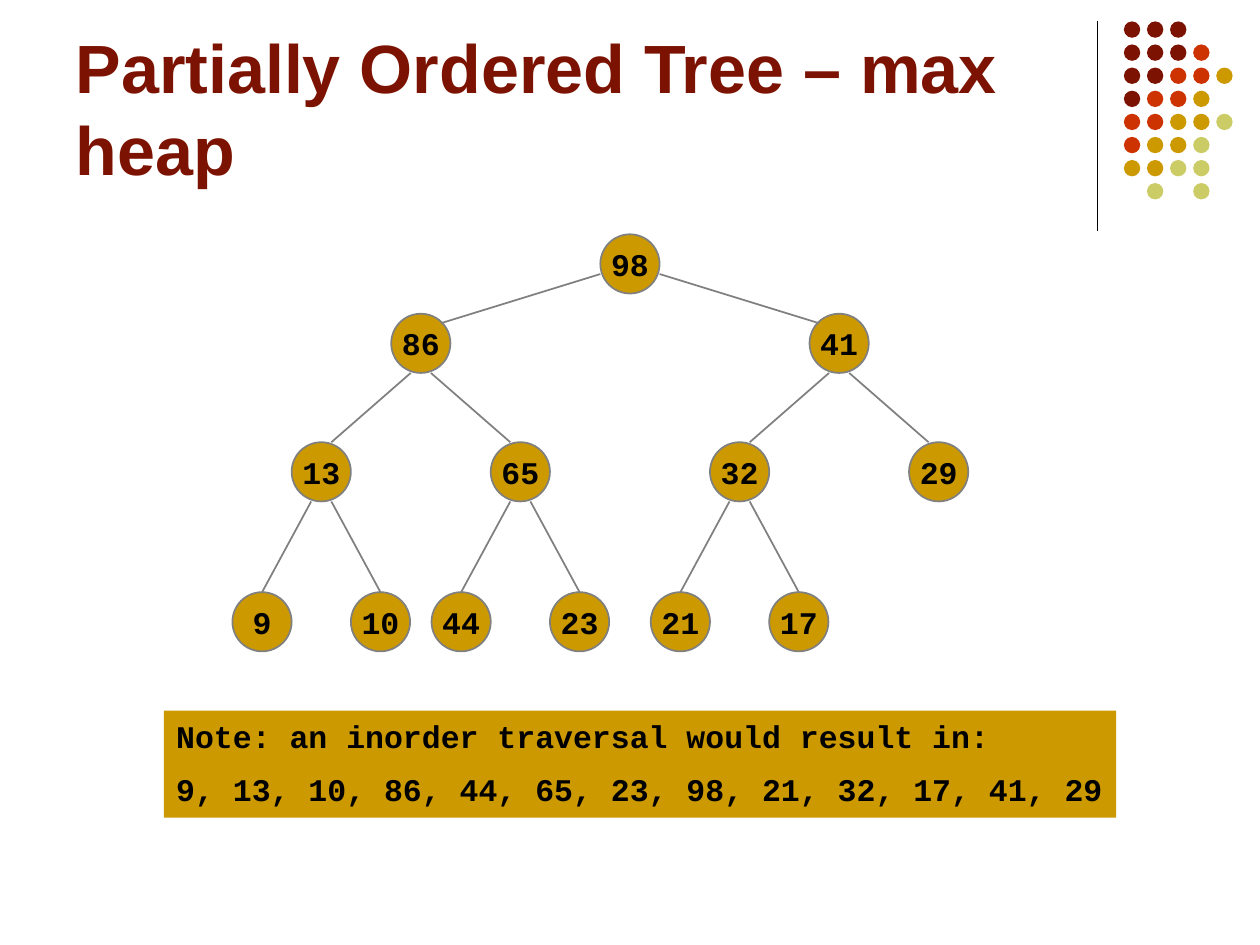
"""Build a slide showing a max heap as a partially ordered tree."""
from lxml.etree import SubElement
from pptx import Presentation
from pptx.dml.color import RGBColor
from pptx.enum.shapes import MSO_CONNECTOR as Connector, MSO_SHAPE as Shape
from pptx.enum.text import MSO_ANCHOR as Anchor, MSO_AUTO_SIZE as AutoSize, PP_ALIGN as Align
from pptx.oxml.ns import qn
from pptx.util import Inches, Pt

THEME = {
    "maroon": "7C1302", "red": "CC3300", "gold": "CC9900", "olive": "CCCC66",
    "edge": "808080", "ink": "000000",
    "title_font": "Arial", "code_font": "Courier New",
    "title_size": 39, "code_size": 18,
}
TITLE = "Partially Ordered Tree – max heap"
HEAP = [98, 86, 41, 13, 65, 32, 29, 9, 10, 44, 23, 21, 17]
NOTE = [
    "Note: an inorder traversal would result in:",
    "9, 13, 10, 86, 44, 65, 23, 98, 21, 32, 17, 41, 29",
]
DOT_ROWS = ["MMM", "MMMR", "MMRRG", "MRRG", "RRGGO", "RGGO", "GGOO", " O O"]
DOT_COLORS = {"M": "maroon", "R": "red", "G": "gold", "O": "olive"}
DOT_LEFT, DOT_TOP, DOT_SIZE, DOT_PITCH = 8.92, 0.17, 0.13, 0.55 / 3

NODE_SIZE, ROOT_X = 0.47, 5.0
RADIUS = NODE_SIZE / 2
LEVEL_TOPS = [1.86, 2.49, 3.51, 4.7]
LEVEL_SPREADS = [1.66, 0.79, 0.47]
EDGE_STARTS = [(RADIUS, 0.08), (0.08, RADIUS), (0.08, RADIUS)]
EDGE_ENDS = [(0.16, 0.16), (0.08, RADIUS), (0, RADIUS)]


def color(name):
    return RGBColor.from_string(THEME[name])


def add_filled(slide, kind, bounds, fill, line=None):
    shape = slide.shapes.add_shape(kind, *map(Inches, bounds))
    shape.shadow.inherit = False
    shape.fill.solid()
    shape.fill.fore_color.rgb = color(fill)
    if line:
        shape.line.color.rgb = color(line)
        shape.line.width = Pt(1)
    else:
        shape.line.fill.background()
    return shape


def add_line(slide, start, end, line, width):
    connector = slide.shapes.add_connector(Connector.STRAIGHT, *map(Inches, (*start, *end)))
    connector.line.color.rgb = color(line)
    connector.line.width = Pt(width)
    SubElement(connector._element.spPr, qn("a:effectLst"))


def add_span(para, text, role, ink):
    span = para.add_run()
    span.text = text
    span.font.name = THEME[f"{role}_font"]
    span.font.size = Pt(THEME[f"{role}_size"])
    span.font.bold = True
    span.font.color.rgb = color(ink)


def add_title(slide):
    title = slide.shapes.title
    title.left, title.top, title.width, title.height = map(Inches, (0.5, 0.13, 8.25, 1.42))
    frame = title.text_frame
    frame.auto_size = AutoSize.NONE
    frame.vertical_anchor = Anchor.BOTTOM
    para = frame.paragraphs[0]
    para.alignment = Align.LEFT
    add_span(para, TITLE, "title", "maroon")


def add_dots(slide):
    add_line(slide, (8.71, 0.17), (8.71, 1.83), "ink", 0.75)
    for row, codes in enumerate(DOT_ROWS):
        for column, code in enumerate(codes):
            if code in DOT_COLORS:
                left, top = DOT_LEFT + column * DOT_PITCH, DOT_TOP + row * DOT_PITCH
                add_filled(slide, Shape.OVAL, (left, top, DOT_SIZE, DOT_SIZE), DOT_COLORS[code])


def level_of(index):
    return (index + 1).bit_length() - 1


def node_centers():
    centers = [(ROOT_X, LEVEL_TOPS[0] + RADIUS)]
    for index in range(1, len(HEAP)):
        level = level_of(index)
        side = -1 if index % 2 else 1
        parent_x = centers[(index - 1) // 2][0]
        centers.append((parent_x + side * LEVEL_SPREADS[level - 1], LEVEL_TOPS[level] + RADIUS))
    return centers


def add_tree(slide):
    centers = node_centers()
    for value, (x, y) in zip(HEAP, centers):
        bounds = (x - RADIUS, y - RADIUS, NODE_SIZE, NODE_SIZE)
        frame = add_filled(slide, Shape.OVAL, bounds, "gold", "edge").text_frame
        frame.margin_left = frame.margin_right = frame.margin_top = frame.margin_bottom = 0
        frame.vertical_anchor = Anchor.MIDDLE
        frame.word_wrap = False
        para = frame.paragraphs[0]
        para.alignment = Align.CENTER
        add_span(para, str(value), "code", "ink")
    for index in range(1, len(HEAP)):
        level = level_of(index) - 1
        side = -1 if index % 2 else 1
        (parent_x, parent_y), (x, y) = centers[(index - 1) // 2], centers[index]
        (start_x, start_y), (end_x, end_y) = EDGE_STARTS[level], EDGE_ENDS[level]
        start = (parent_x + side * start_x, parent_y + start_y)
        end = (x - side * end_x, y - end_y)
        add_line(slide, start, end, "edge", 1)


def add_note(slide):
    frame = add_filled(slide, Shape.RECTANGLE, (1.3, 5.64, 7.56, 0.85), "gold").text_frame
    frame.word_wrap = True
    frame.vertical_anchor = Anchor.TOP
    for number, text in enumerate(NOTE):
        para = frame.add_paragraph() if number else frame.paragraphs[0]
        para.alignment = Align.LEFT
        para.space_before = Pt(9)
        add_span(para, text, "code", "ink")


def main():
    deck = Presentation()
    deck.slide_width, deck.slide_height = Inches(10), Inches(7.5)
    slide = deck.slides.add_slide(deck.slide_layouts.get_by_name("Title Only"))
    add_dots(slide)
    add_title(slide)
    add_tree(slide)
    add_note(slide)
    deck.save("out.pptx")


if __name__ == "__main__":
    main()
